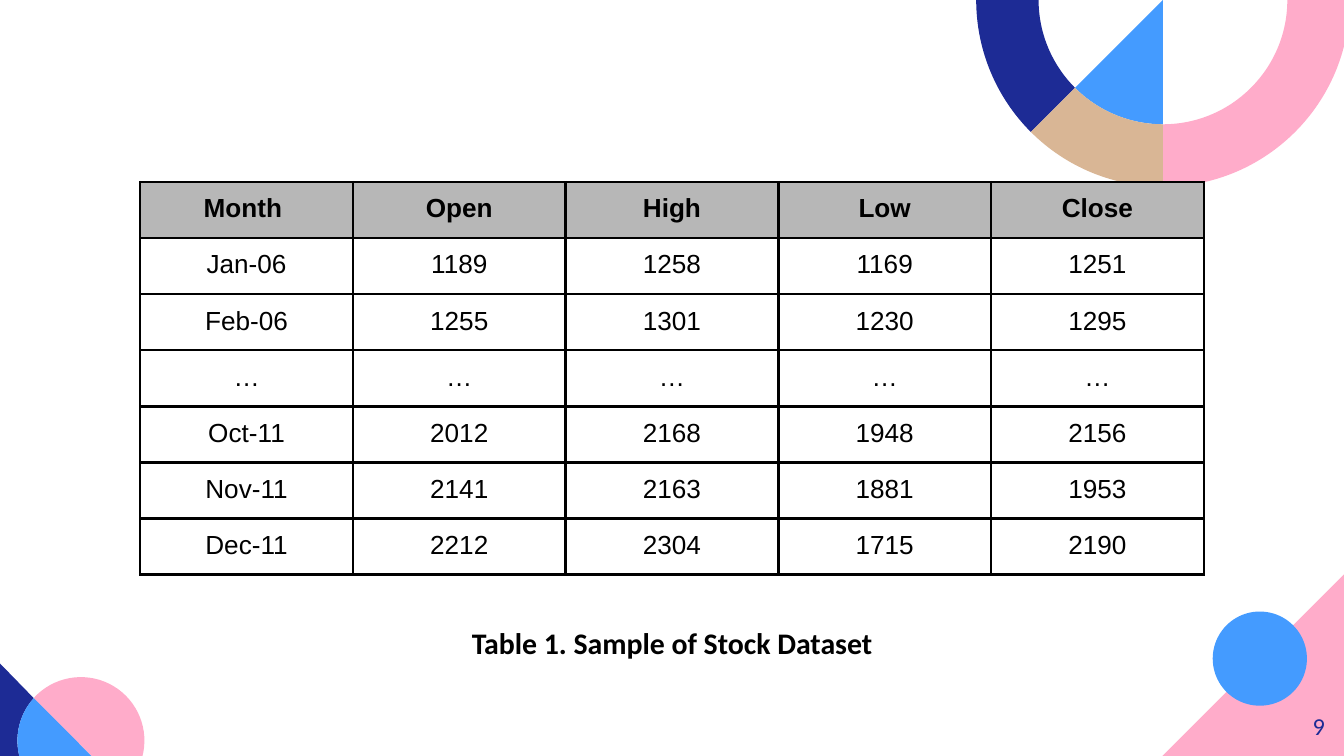
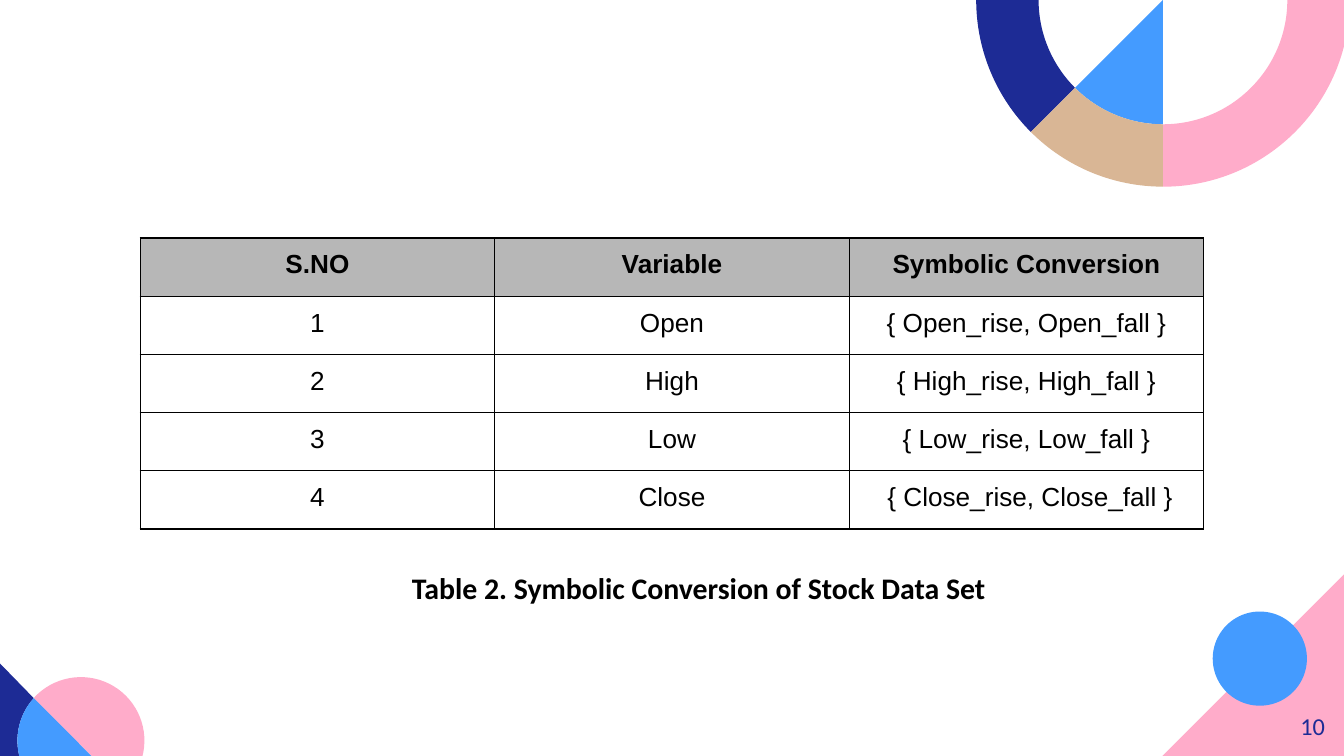
import dataclasses
import math

import lxml.etree
import pptx
import pptx.dml.color
import pptx.enum.shapes
import pptx.enum.text
import pptx.oxml.ns
import pptx.util

Cm = pptx.util.Cm
Align = pptx.enum.text.PP_ALIGN
qn = pptx.oxml.ns.qn


@dataclasses.dataclass(frozen=True)
class Theme:
    pink: str = "FFACCA"
    blue: str = "449BFF"
    navy: str = "1D2B95"
    tan: str = "D9B695"
    ink: str = "000000"
    header: str = "B7B7B7"
    text_font: str = "Calibri"
    table_font: str = "Arial"
    caption_size: int = 16
    cell_size: int = 14
    number_size: int = 13


THEME = Theme()
WIDTH, HEIGHT = 25.4, 14.29
TEXT_MARGIN, CELL_MARGIN = 0.25, 0.23
TABLE_LEFT, TABLE_WIDTH = 2.65, 20.1

STOCK_ROWS = [
    ["Month ", "Open", "High", "Low", "Close"],
    ["Jan-06", "1189", "1258", "1169", "1251"],
    ["Feb-06", "1255", "1301", "1230", "1295"],
    ["…"] * 5,
    ["Oct-11", "2012", "2168", "1948", "2156"],
    ["Nov-11", "2141", "2163", "1881", "1953"],
    ["Dec-11", "2212", "2304", "1715", "2190"],
]
SYMBOL_ROWS = [
    ["S.NO", "Variable", "Symbolic Conversion"],
    ["1", "Open", "{ Open_rise, Open_fall }"],
    ["2", "High", "{ High_rise, High_fall }"],
    ["3", "Low", "{ Low_rise, Low_fall }"],
    ["4", "Close", " { Close_rise, Close_fall }"],
]


def rgb(color):
    return pptx.dml.color.RGBColor.from_string(color)


def paint(shape, color):
    shape.shadow.inherit = False
    shape.fill.solid()
    shape.fill.fore_color.rgb = rgb(color)
    shape.line.fill.background()


def arc(center, radius, start, end):
    """Steps of an arc: its first point, then one curve per quarter turn or less.

    Degrees run clockwise from the right. A step is a list of one point (a line)
    or of three (two handles and the end of a curve).
    """
    count = math.ceil(abs(end - start) / 90)
    turn = math.radians(end - start) / count
    reach = 4 / 3 * math.tan(turn / 4)

    def point(angle, pull=0.0):
        x = math.cos(angle) - pull * math.sin(angle)
        y = math.sin(angle) + pull * math.cos(angle)
        return center[0] + radius * x, center[1] + radius * y

    angles = [math.radians(start) + turn * i for i in range(count + 1)]
    curves = [[point(a, reach), point(b, -reach), point(b)] for a, b in zip(angles, angles[1:])]
    return [[point(angles[0])]] + curves


def add_outline(slide, steps, color):
    corners = [(Cm(x), Cm(y)) for step in steps for x, y in step]
    builder = slide.shapes.build_freeform(*corners[0])
    builder.add_line_segments(corners[1:], close=True)
    shape = builder.convert_to_shape()
    lines = iter(list(shape.element.iter(qn("a:lnTo"))))
    for step in steps[1:]:
        first, *others = [next(lines) for _ in step]
        if others:
            curve = lxml.etree.Element(qn("a:cubicBezTo"))
            first.addprevious(curve)
            for line in (first, *others):
                curve.append(line[0])
                line.getparent().remove(line)
    paint(shape, color)


def draw_ring(slide):
    center, outer, inner = (21.98, 0), 3.53, 2.35
    add_outline(slide, [[center]] + arc(center, inner, 90, 135), THEME.blue)
    for start, end, color in [(135, 180, THEME.navy), (0, 90, THEME.pink), (90, 135, THEME.tan)]:
        band = arc(center, outer, start, end) + arc(center, inner, end, start)
        add_outline(slide, band, color)


def draw_right_corner(slide):
    right, bottom, side = 25.43, 14.38, 3.55
    triangle = [[(right, bottom - side)], [(right, bottom)], [(right - side, bottom)]]
    add_outline(slide, triangle, THEME.pink)
    disc = slide.shapes.add_shape(
        pptx.enum.shapes.MSO_SHAPE.OVAL, Cm(22.92), Cm(11.56), Cm(1.78), Cm(1.78))
    paint(disc, THEME.blue)


def draw_left_corner(slide):
    center, radius = (1.53, 14), 1.2
    foot, split = 159, 222
    left, bottom = -0.05, 14.44
    diagonal_foot = [(1.88, bottom)]
    inside = arc(center, radius, foot, split)
    add_outline(slide, arc(center, radius, split, foot + 360) + [diagonal_foot], THEME.pink)
    add_outline(slide, [[(left, 12.49)], [(left, bottom)]] + inside, THEME.navy)
    add_outline(slide, inside + [diagonal_foot], THEME.blue)


def decorate_layout(slide):
    """Draw the shared corner art and hand it to the slide's layout."""
    layout = slide.slide_layout
    tree = layout.shapes.element
    for placeholder in list(layout.placeholders):
        tree.remove(placeholder.element)
    draw_right_corner(slide)
    draw_ring(slide)
    draw_left_corner(slide)
    for shape in list(slide.shapes):
        tree.append(shape.element)


def write(frame, text, *, font, size, color=THEME.ink, bold=False, align=Align.CENTER):
    para = frame.paragraphs[0]
    para.alignment = align
    span = para.add_run()
    span.text = text
    span.font.name = font
    span.font.size = pptx.util.Pt(size)
    span.font.bold = bold
    span.font.color.rgb = rgb(color)


def set_margins(holder, margin):
    holder.margin_left = holder.margin_right = Cm(margin)
    holder.margin_top = holder.margin_bottom = Cm(margin)


def add_text(slide, text, left, top, width, height, **style):
    frame = slide.shapes.add_textbox(Cm(left), Cm(top), Cm(width), Cm(height)).text_frame
    frame.word_wrap = True
    set_margins(frame, TEXT_MARGIN)
    write(frame, text, font=THEME.text_font, **style)


def add_borders(cell, points):
    properties = cell._tc.get_or_add_tcPr()
    for index, side in enumerate(("lnL", "lnR", "lnT", "lnB")):
        line = lxml.etree.Element(qn(f"a:{side}"), w=str(pptx.util.Pt(points)))
        fill = lxml.etree.SubElement(line, qn("a:solidFill"))
        lxml.etree.SubElement(fill, qn("a:srgbClr"), val=THEME.ink)
        properties.insert(index, line)


def add_grid(slide, rows, top, row_height, border):
    table = slide.shapes.add_table(
        len(rows), len(rows[0]), Cm(TABLE_LEFT), Cm(top),
        Cm(TABLE_WIDTH), Cm(row_height * len(rows))).table
    table.first_row = table.horz_banding = False
    for row_index, values in enumerate(rows):
        table.rows[row_index].height = Cm(row_height)
        is_header = row_index == 0
        for column_index, value in enumerate(values):
            cell = table.cell(row_index, column_index)
            set_margins(cell, CELL_MARGIN)
            if is_header:
                cell.fill.solid()
                cell.fill.fore_color.rgb = rgb(THEME.header)
            else:
                cell.fill.background()
            add_borders(cell, border)
            write(cell.text_frame, value, font=THEME.table_font,
                  size=THEME.cell_size, bold=is_header)


def add_caption(slide, text, left, top, width, height):
    add_text(slide, text, left, top, width, height, size=THEME.caption_size, bold=True)


def add_page_number(slide, number):
    add_text(slide, str(number), 23.77, 13.2, 1.52, 1.09,
             size=THEME.number_size, color=THEME.navy, align=Align.RIGHT)


def main():
    deck = pptx.Presentation()
    deck.slide_width, deck.slide_height = Cm(WIDTH), Cm(HEIGHT)
    blank = deck.slide_layouts.get_by_name("Blank")

    stock = deck.slides.add_slide(blank)
    decorate_layout(stock)
    add_page_number(stock, 9)
    add_grid(stock, STOCK_ROWS, top=3.44, row_height=1.06, border=1.5)
    add_caption(stock, "Table 1. Sample of Stock Dataset", 8.03, 11.56, 9.35, 1.19)

    symbols = deck.slides.add_slide(blank)
    add_page_number(symbols, 10)
    add_caption(symbols, "Table 2. Symbolic Conversion of Stock Data Set",
                7.04, 10.52, 12.34, 1.88)
    add_grid(symbols, SYMBOL_ROWS, top=4.5, row_height=1.1, border=0.75)

    deck.save("out.pptx")


if __name__ == "__main__":
    main()
